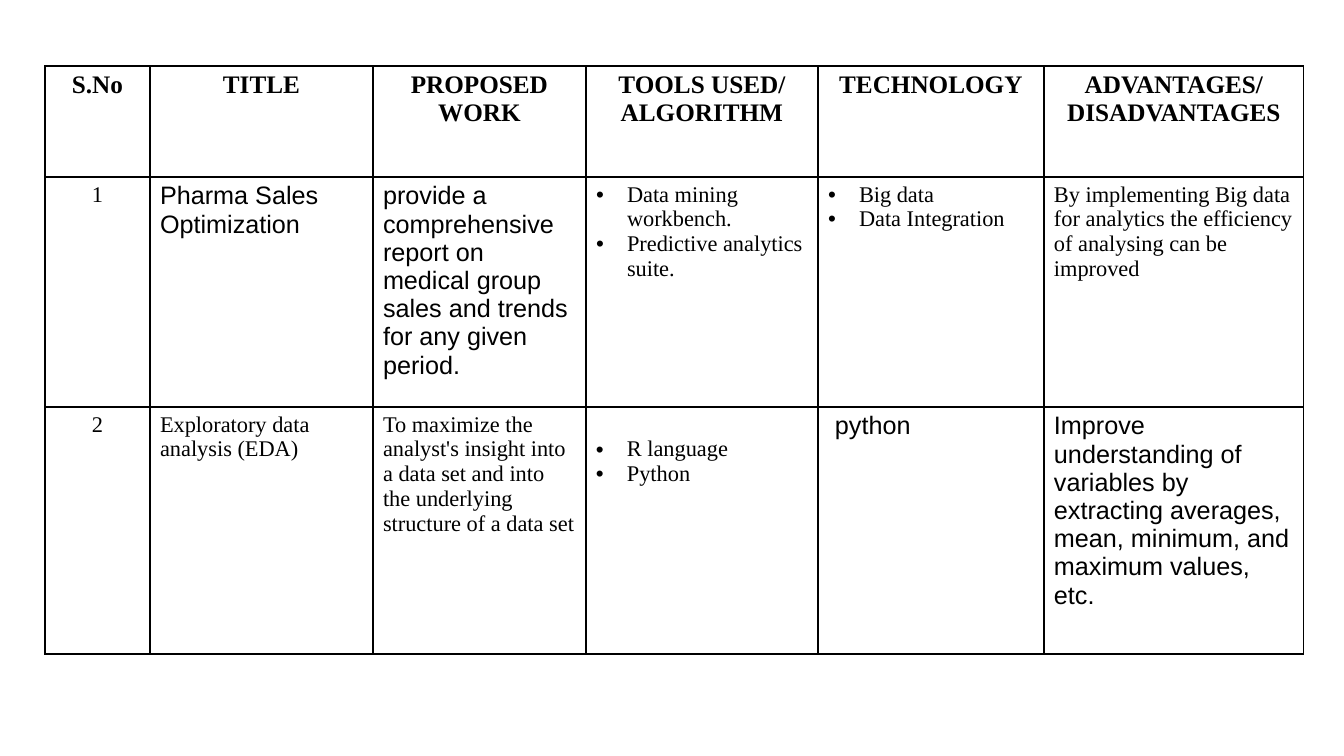
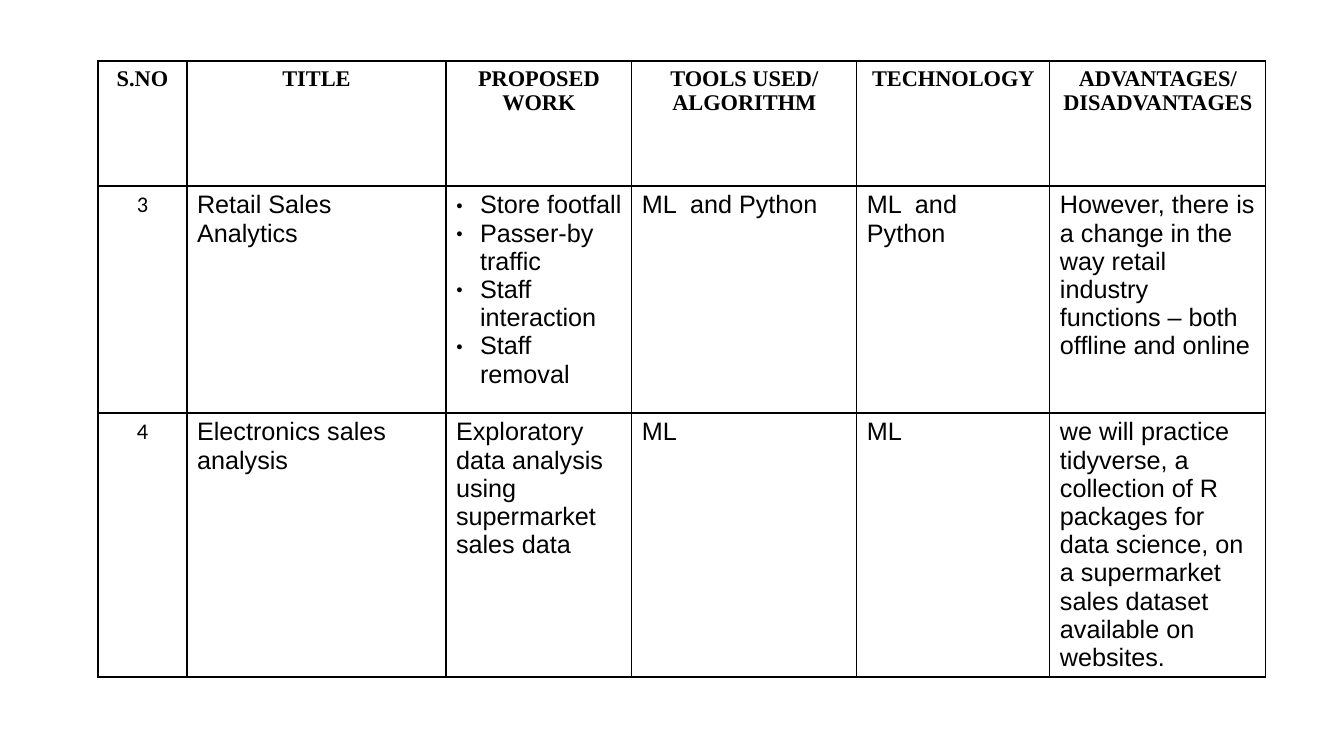
"""Build two slides that survey data analysis projects in tables."""
from lxml import etree
from pptx import Presentation
from pptx.dml.color import RGBColor
from pptx.enum.text import PP_ALIGN
from pptx.oxml.ns import qn
from pptx.util import Pt

LEFT, MID = PP_ALIGN.LEFT, PP_ALIGN.CENTER
SCALE = 914400 / 100.8
WIDE, HIGH = 1344, 756
PAD = 10
EDGE = 12192
COLORS = {"ink": "000000", "paper": "FFFFFF"}
SERIF, SANS, PLAIN = "Times New Roman", "Arial", "Calibri"

# style: font, size, bold, alignment, bullet (sign, indent, percent)
STYLES = {
    "head": (SERIF, 18, True, MID, None),
    "sub": (SERIF, 16, True, MID, None),
    "count": (SERIF, 16, False, MID, None),
    "digit": (PLAIN, 16, False, MID, None),
    "serif": (SERIF, 16, False, LEFT, None),
    "sans": (SANS, 18, False, LEFT, None),
    "list": (SERIF, 16, False, LEFT, ("•", 31, 100)),
    "dots": (SANS, 18, False, LEFT, ("●", 24, 45)),
}

HEADS = ["TITLE", "PROPOSED WORK", "TOOLS USED/\nALGORITHM", "TECHNOLOGY",
         "ADVANTAGES/ DISADVANTAGES"]

TABLES = [
    {
        "at": (45, 66),
        "cols": [105, 223, 213, 232, 226, 260],
        "rows": [111, 230, 247],
        "head": ("head", "S.No"),
        "body": [
            [("count", "1"),
             ("sans", "Pharma Sales Optimization"),
             ("sans", "provide a comprehensive report on medical group sales "
                      "and trends for any given period."),
             ("list", "Data mining workbench.\nPredictive analytics suite."),
             ("list", "Big data\nData Integration"),
             ("serif", "By implementing Big data for analytics the efficiency "
                       "of analysing can be improved")],
            [("count", "2"),
             ("serif", "Exploratory data analysis (EDA)"),
             ("serif", "To maximize the analyst's insight into a data set and "
                       "into the underlying structure of a data set"),
             ("list", "R language\nPython"),
             ("sans", "python"),
             ("sans", "Improve understanding of variables by extracting "
                      "averages, mean, minimum, and maximum values, etc.")],
        ],
        "inset": {(2, 3): (PAD, 30), (2, 4): (17, 5)},
    },
    {
        "at": (98, 61),
        "cols": [89, 259, 186, 225, 193, 216],
        "rows": [125, 227, 149],
        "head": ("sub", "S.NO"),
        "body": [
            [("digit", "3"),
             ("sans", "Retail Sales Analytics"),
             ("dots", "Store footfall\nPasser-by traffic\n"
                      "Staff interaction\nStaff removal"),
             ("sans", "ML  and Python"),
             ("sans", "ML  and Python"),
             ("sans", "However, there is a change in the way retail industry "
                      "functions – both offline and online")],
            [("digit", "4"),
             ("sans", "Electronics sales analysis"),
             ("sans", "Exploratory data analysis using supermarket sales data"),
             ("sans", "ML"),
             ("sans", "ML"),
             ("sans", "we will practice tidyverse, a collection of R packages "
                      "for data science, on a supermarket sales dataset "
                      "available on websites.")],
        ],
        "inset": {},
    },
]


def px(n):
    return round(n * SCALE)


def color(name):
    return RGBColor.from_string(COLORS[name])


def add(node, tag, **attrs):
    return etree.SubElement(node, qn(tag), attrs)


def tint(node, name):
    add(add(node, "a:solidFill"), "a:srgbClr", val=COLORS[name])


def mark(para, sign, indent, size):
    props = para._p.get_or_add_pPr()
    props.set("marL", str(px(indent)))
    props.set("indent", str(-px(indent)))
    add(add(props, "a:buClr"), "a:srgbClr", val=COLORS["ink"])
    add(props, "a:buSzPct", val=str(size * 1000))
    add(props, "a:buFont", typeface=SANS)
    add(props, "a:buChar", char=sign)


def frame(cell):
    props = cell._tc.get_or_add_tcPr()
    for side in "LRTB":
        tint(add(props, "a:ln" + side, w=str(EDGE)), "ink")
    cell.fill.solid()
    cell.fill.fore_color.rgb = color("paper")


def write(cell, style, text):
    face, size, bold, align, bullet = STYLES[style]
    cell.text_frame.text = text
    for para in cell.text_frame.paragraphs:
        para.alignment = align
        if bullet:
            mark(para, *bullet)
        for run in para.runs:
            font = run.font
            font.name, font.size, font.bold = face, Pt(size), bold
            font.color.rgb = color("ink")


def draw(slide, data):
    cols, rows = data["cols"], data["rows"]
    box = (*data["at"], sum(cols), sum(rows))
    table = slide.shapes.add_table(len(rows), len(cols), *map(px, box)).table
    table.first_row = table.horz_banding = False
    for col, width in zip(table.columns, cols):
        col.width = px(width)
    for row, height in zip(table.rows, rows):
        row.height = px(height)
    style, first = data["head"]
    head = [(style, text) for text in [first, *HEADS]]
    for r, line in enumerate([head, *data["body"]]):
        for c, (style, text) in enumerate(line):
            cell = table.cell(r, c)
            frame(cell)
            write(cell, style, text)
            if (r, c) in data["inset"]:
                left, top = data["inset"][r, c]
                cell.margin_left, cell.margin_top = px(left), px(top)


deck = Presentation()
deck.slide_width, deck.slide_height = px(WIDE), px(HIGH)
for data in TABLES:
    draw(deck.slides.add_slide(deck.slide_layouts[6]), data)
deck.save("out.pptx")
